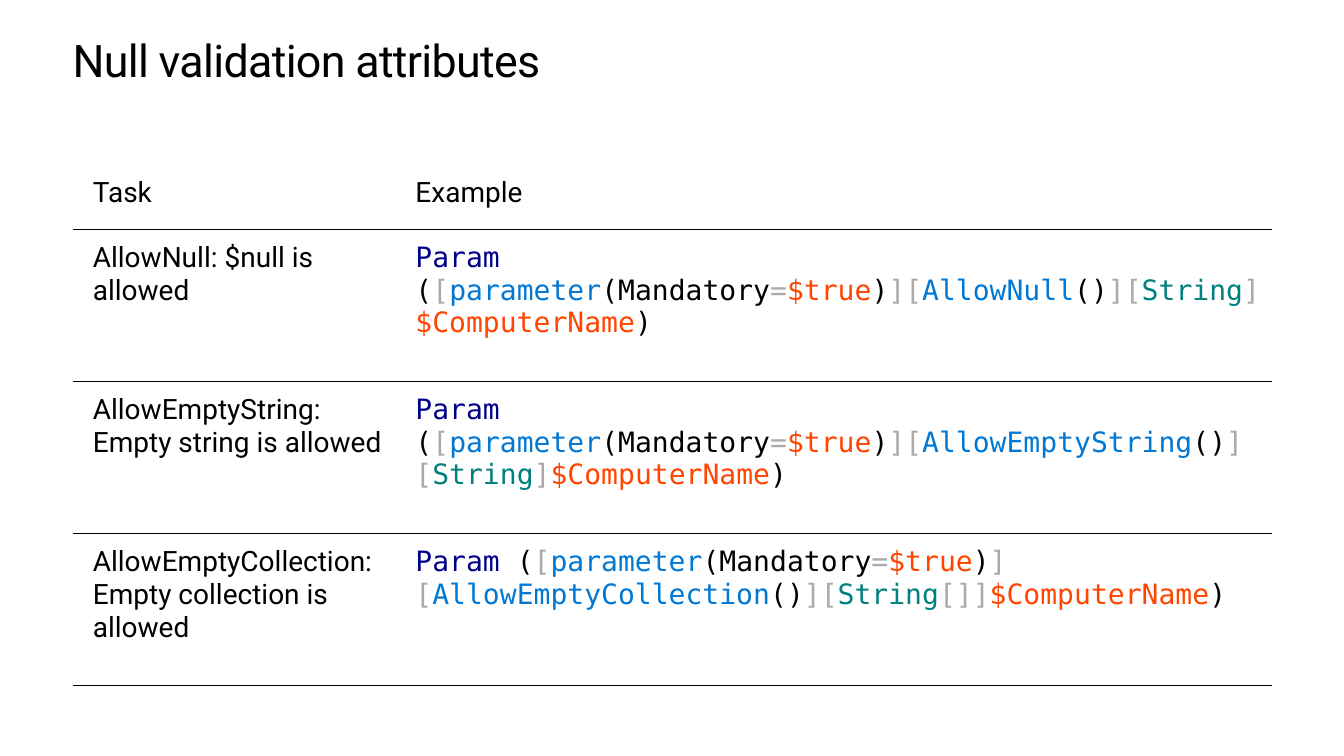
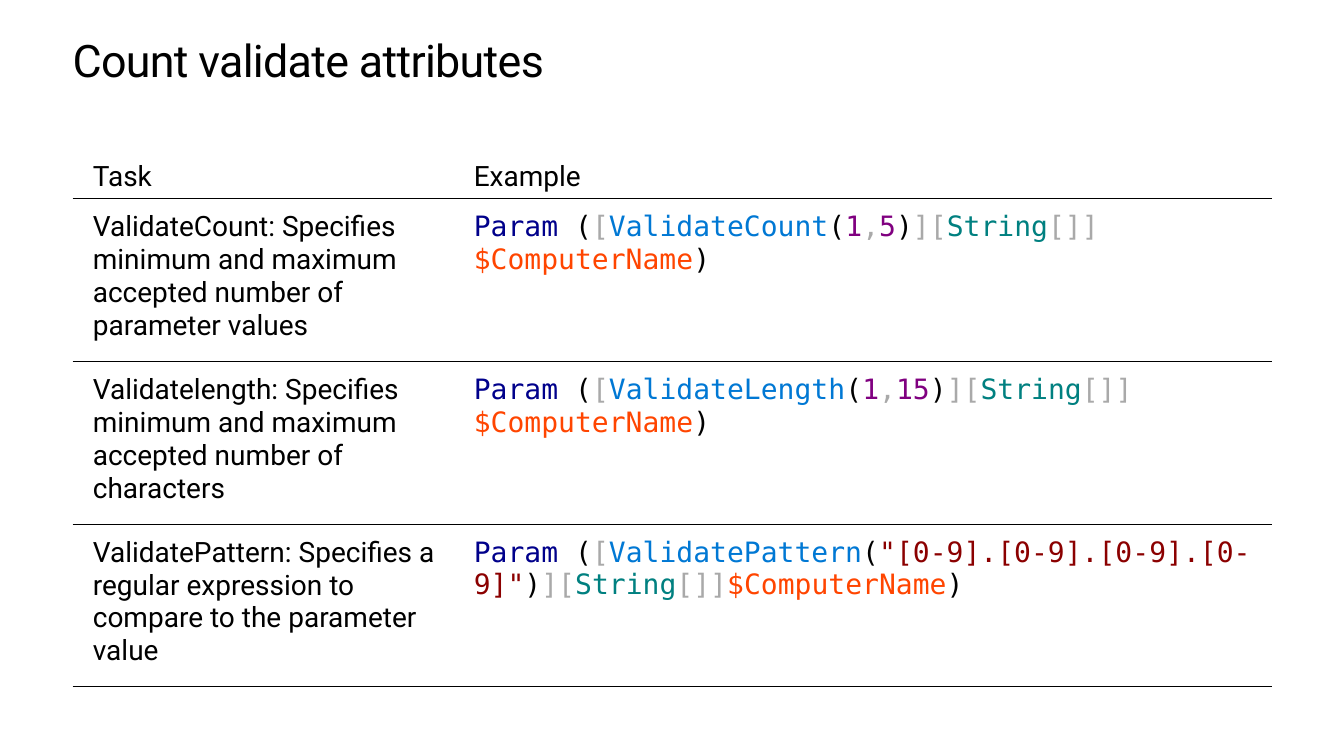
from lxml import etree
from pptx import Presentation
from pptx.dml.color import RGBColor
from pptx.enum.text import MSO_ANCHOR, MSO_AUTO_SIZE, PP_ALIGN
from pptx.oxml.ns import qn
from pptx.util import Cm, Pt

TOP, MIDDLE = MSO_ANCHOR.TOP, MSO_ANCHOR.MIDDLE
LEFT, NO_AUTOFIT = PP_ALIGN.LEFT, MSO_AUTO_SIZE.NONE

COLORS = {
    "text": "000000", "line": "000000", "keyword": "00008B", "symbol": "A9A9A9",
    "attribute": "0078D4", "variable": "FF4500", "type": "008080",
    "number": "800080", "string": "8B0000",
}
SANS, MONO = "Roboto", "DejaVu Sans Mono"
NO_STYLE = "{2D5ABB26-0587-4C30-8999-92F81FD0307C}"

# Cell formats: margins in cm
HEAD_TASK = dict(margin_left=0.51, margin_top=0.13, margin_right=0.25,
                 margin_bottom=0.13, vertical_anchor=MIDDLE)
HEAD_EXAMPLE = dict(margin_left=0.51, margin_top=0, margin_right=0,
                    margin_bottom=0, vertical_anchor=MIDDLE)
BODY_TASK = dict(margin_left=0.51, margin_top=0.3, margin_right=0.25,
                 margin_bottom=0.3, vertical_anchor=TOP)
BODY_EXAMPLE = dict(BODY_TASK, margin_right=0)

# Code fragments: (colour name, text)
PARAM = ("keyword", "Param")
MANDATORY = [("symbol", "["), ("attribute", "parameter"), ("text", "(Mandatory"),
             ("symbol", "="), ("variable", "$true"), ("text", ")")]


def tail(brackets):
    """The typed variable that closes each example."""
    return [("symbol", "]["), ("type", "String"), ("symbol", brackets),
            ("variable", "$ComputerName"), ("text", ")")]


def allow(name, brackets="]"):
    return MANDATORY + [("symbol", "]["), ("attribute", name), ("text", "()")] + tail(brackets)


def validate(name, *arguments):
    return [[PARAM, ("text", " ("), ("symbol", "["), ("attribute", name),
             ("text", "("), *arguments, ("text", ")")] + tail("[]]")]


def count_range(low, high):
    return ("number", low), ("symbol", ","), ("number", high)


class Deck:
    def __init__(self):
        self.prs = Presentation()
        self.prs.slide_width, self.prs.slide_height = Cm(33.87), Cm(19.05)
        self.left, self.width = Cm(1.83), Cm(30.23)
        self.s = None

    def slide(self, title):
        self.s = self.prs.slides.add_slide(self.prs.slide_layouts[5])
        sp = self.s.shapes.title
        sp.left, sp.top, sp.width, sp.height = self.left, Cm(0.89), self.width, Cm(1.28)
        tf = sp.text_frame
        frame = dict(margin_left=0, margin_top=0, margin_right=0, margin_bottom=0,
                     vertical_anchor=TOP, word_wrap=True, auto_size=NO_AUTOFIT)
        for name, value in frame.items():
            setattr(tf, name, value)
        p = tf.paragraphs[0]
        p.alignment, p.line_spacing = LEFT, Pt(36.2)
        r = self.run(p, title, size=32)
        r.font._element.set("spc", "-50")

    def run(self, p, text, color="text", font=SANS, size=20):
        r = p.add_run()
        r.text = text
        for name, value in dict(name=font, size=Pt(size), bold=False).items():
            setattr(r.font, name, value)
        r.font.color.rgb = RGBColor.from_string(COLORS[color])
        return r

    def cell(self, cell, paragraphs, style, font=SANS):
        for name, value in style.items():
            setattr(cell, name, Cm(value) if name.startswith("margin") else value)
        cell.fill.background()
        self.underline(cell)
        tf = cell.text_frame
        for i, parts in enumerate(paragraphs):
            p = tf.add_paragraph() if i else tf.paragraphs[0]
            p.alignment = LEFT
            for color, text in parts:
                self.run(p, text, color, font)

    def underline(self, cell):
        tc_pr = cell._tc.get_or_add_tcPr()
        ln = etree.Element(qn("a:lnB"), w=str(Pt(1)))
        fill = etree.SubElement(ln, qn("a:solidFill"))
        etree.SubElement(fill, qn("a:srgbClr"), val=COLORS["line"])
        tc_pr.insert(0, ln)

    def task_table(self, task_width, head_height, row_height, rows):
        count = len(rows) + 1
        height = Cm(head_height + row_height * len(rows))
        shape = self.s.shapes.add_table(count, 2, self.left, Cm(3.91), self.width, height)
        table = shape.table
        table.first_row = table.horz_banding = False
        table._tbl.tblPr.find(qn("a:tableStyleId")).text = NO_STYLE
        table.columns[0].width = Cm(task_width)
        table.columns[1].width = self.width - Cm(task_width)
        for i, row in enumerate(table.rows):
            row.height = Cm(row_height if i else head_height)

        # Header, then one task and its example per row
        self.cell(table.cell(0, 0), [[("text", "Task")]], HEAD_TASK)
        self.cell(table.cell(0, 1), [[("text", "Example")]], HEAD_EXAMPLE)
        for i, (task, code) in enumerate(rows, 1):
            self.cell(table.cell(i, 0), [[("text", task)]], BODY_TASK)
            self.cell(table.cell(i, 1), code, BODY_EXAMPLE, MONO)


def main():
    deck = Deck()

    # Null validation
    deck.slide("Null validation attributes")
    deck.task_table(8.13, 1.88, 3.83, [
        ("AllowNull: $null is allowed",
         [[PARAM], [("text", "(")] + allow("AllowNull")]),
        ("AllowEmptyString: Empty string is allowed",
         [[PARAM], [("text", "(")] + allow("AllowEmptyString")]),
        ("AllowEmptyCollection: Empty collection is allowed",
         [[PARAM, ("text", " (")] + allow("AllowEmptyCollection", "[]]")]),
    ])

    # Count validation
    deck.slide("Count validate attributes")
    deck.task_table(9.6, 1.1, 4.1, [
        ("ValidateCount: Specifies minimum and maximum accepted number of parameter values",
         validate("ValidateCount", *count_range("1", "5"))),
        ("Validatelength: Specifies minimum and maximum accepted number of characters",
         validate("ValidateLength", *count_range("1", "15"))),
        ("ValidatePattern: Specifies a regular expression to compare to the parameter value",
         validate("ValidatePattern", ("string", '"[0-9].[0-9].[0-9].[0-9]"'))),
    ])

    deck.prs.save("out.pptx")


if __name__ == "__main__":
    main()
